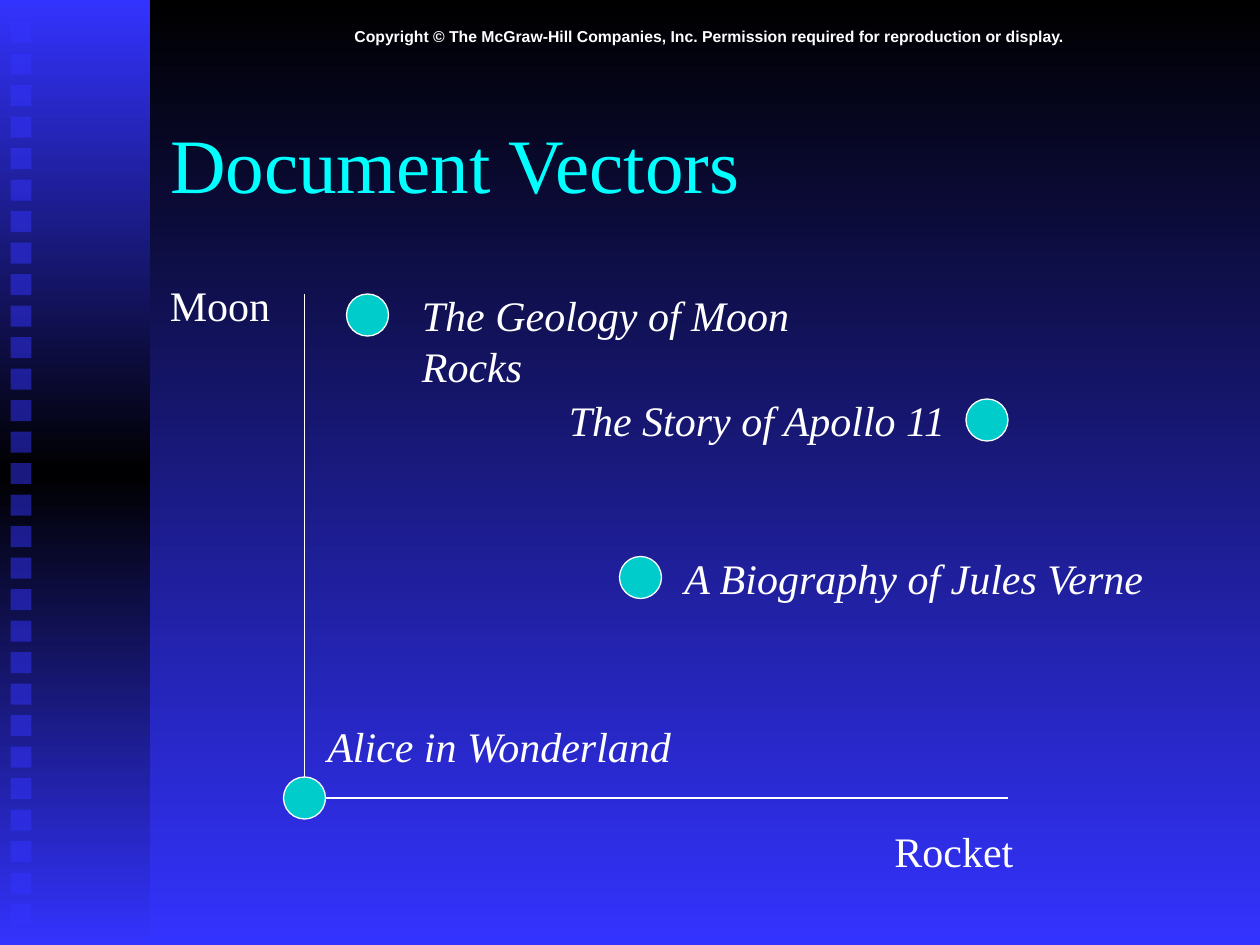
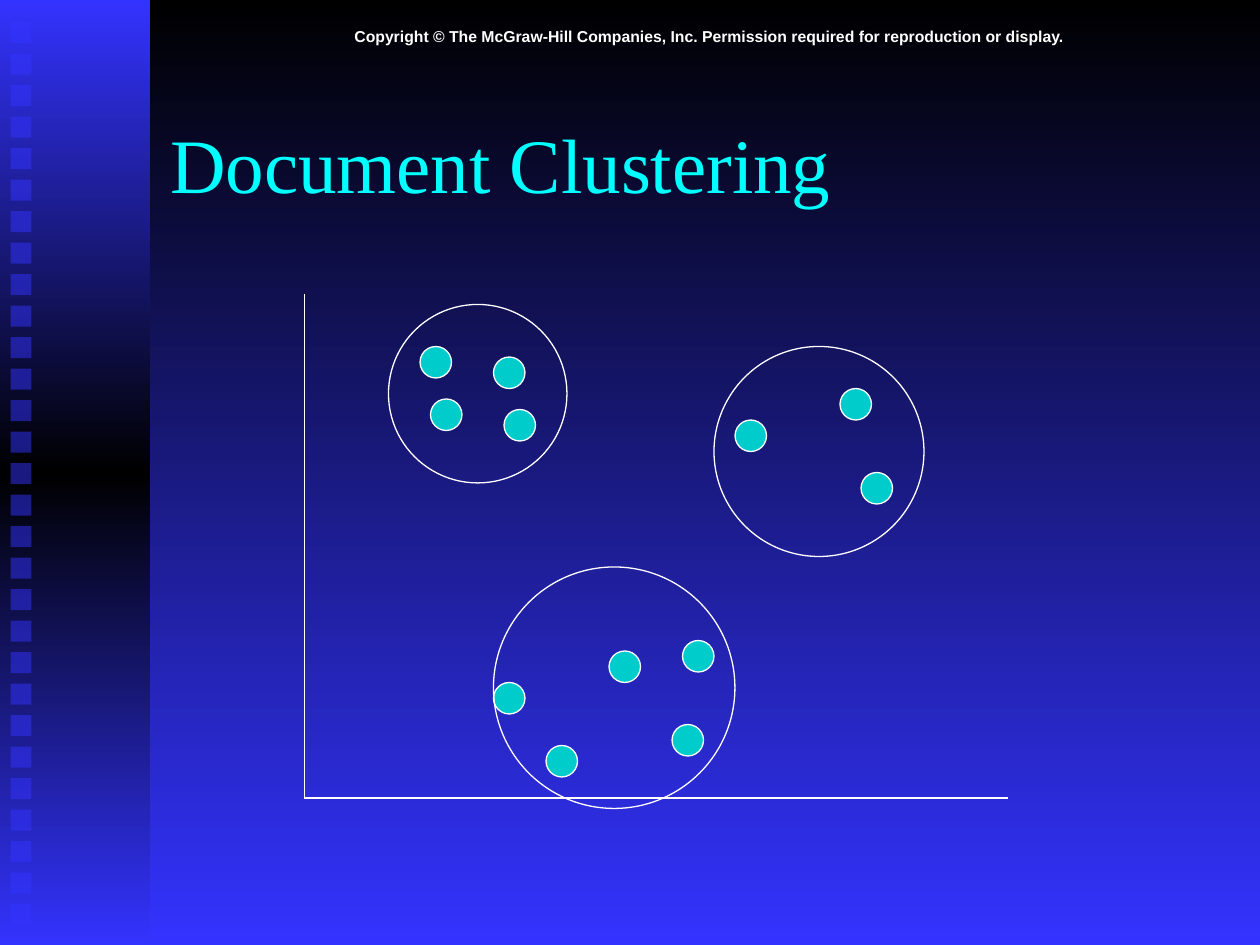
from copy import deepcopy

from lxml.etree import SubElement
from pptx import Presentation
from pptx.dml.color import RGBColor
from pptx.enum.shapes import MSO_CONNECTOR, MSO_SHAPE
from pptx.enum.text import MSO_ANCHOR, MSO_AUTO_SIZE, PP_ALIGN
from pptx.oxml.ns import qn
from pptx.util import Inches, Pt

BLACK = RGBColor(0x00, 0x00, 0x00)
BLUE = RGBColor(0x33, 0x33, 0xFF)
CYAN = RGBColor(0x00, 0xFF, 0xFF)
TEAL = RGBColor(0x00, 0xCC, 0xCC)
WHITE = RGBColor(0xFF, 0xFF, 0xFF)

SERIF = "Times New Roman"
SANS = "Arial"

COLUMNS, ROWS = 120, 90
CELL = Inches(10) / COLUMNS
LINE_WIDTH = Pt(0.75)
LABEL_HEIGHT = 6

COPYRIGHT = ("Copyright © The McGraw-Hill Companies, Inc. "
             "Permission required for reproduction or display.")
COPYRIGHT_AREA = (15, 2, 105, 3)
TITLE_AREA = (15, 8, 102, 15)
BAND_AREA = (0, 0, 14.3, ROWS)
SQUARE_COUNT, SQUARE_LEFT, SQUARE_TOP, SQUARE_SIZE, SQUARE_STEP = 29, 1, 2.1, 2, 3
ORIGIN, AXIS_TOP, AXIS_RIGHT = (29, 76), 28, 96

VECTORS = {
    "title": "Document Vectors",
    "axis_names": [("Moon", 15, 26, 12), ("Rocket", 84, 78, 16)],
    "document_names": [
        ("Alice in Wonderland", 30, 68, 35.5),
        ("A Biography of Jules Verne", 64, 52, 46.6),
        ("The Geology of Moon Rocks", 39, 27, 47.9),
        ("The Story of Apollo 11", 53, 37, 38.6),
    ],
    "dot_size": 4,
    "dots": [(27, 74), (33, 28), (59, 53), (92, 38)],
    "clusters": [],
}
CLUSTERING = {
    "title": "Document Clustering",
    "axis_names": [],
    "document_names": [],
    "dot_size": 3,
    "dots": [
        (41, 38), (48, 39), (40, 33), (47, 34),
        (47, 65), (58, 62), (65, 61), (52, 71), (64, 69),
        (82, 45), (70, 40), (80, 37),
    ],
    "clusters": [(37, 29, 17), (68, 33, 20), (47, 54, 23)],
}


def cells(*counts):
    return [round(count * CELL) for count in counts]


def paint_gradient(fill, colours):
    fill.gradient()
    fill.gradient_angle = 270
    stops = fill.gradient_stops
    if len(colours) == 3:
        first = stops[0]._gs
        first.addnext(deepcopy(first))
        stops = fill.gradient_stops
    for index, (stop, colour) in enumerate(zip(stops, colours)):
        stop.position = index / (len(colours) - 1)
        stop.color.rgb = colour


def add_figure(shapes, preset, area):
    figure = shapes.add_shape(preset, *cells(*area))
    figure.shadow.inherit = False
    return figure


def add_circle(page, left, top, size, colour=None):
    circle = add_figure(page.shapes, MSO_SHAPE.OVAL, (left, top, size, size))
    if colour is None:
        circle.fill.background()
    else:
        circle.fill.solid()
        circle.fill.fore_color.rgb = colour
    circle.line.color.rgb = WHITE
    circle.line.width = LINE_WIDTH


def add_axis(page, start, end):
    axis = page.shapes.add_connector(MSO_CONNECTOR.STRAIGHT, *cells(*start, *end))
    axis.line.color.rgb = WHITE
    axis.line.width = LINE_WIDTH
    SubElement(axis._element.spPr, qn("a:effectLst"))


def write(frame, text, size, colour=WHITE, name=SERIF, bold=False, italic=False,
          alignment=PP_ALIGN.LEFT):
    para = frame.paragraphs[0]
    para.alignment = alignment
    span = para.add_run()
    span.text = text
    font = span.font
    font.name, font.size, font.bold, font.italic = name, Pt(size), bold, italic
    font.color.rgb = colour


def add_text(page, text, area, size=24, wrap=True, **style):
    box = page.shapes.add_textbox(*cells(*area))
    frame = box.text_frame
    frame.word_wrap = wrap
    frame.auto_size = MSO_AUTO_SIZE.SHAPE_TO_FIT_TEXT
    write(frame, text, size, **style)


def add_band(page):
    group = page.shapes.add_group_shape()
    band = add_figure(group.shapes, MSO_SHAPE.RECTANGLE, BAND_AREA)
    paint_gradient(band.fill, [BLUE, BLACK, BLUE])
    band.line.fill.background()
    for index in range(SQUARE_COUNT):
        top = SQUARE_TOP + index * SQUARE_STEP
        square = add_figure(group.shapes, MSO_SHAPE.RECTANGLE,
                            (SQUARE_LEFT, top, SQUARE_SIZE, SQUARE_SIZE))
        square.fill.solid()
        square.fill.fore_color.rgb = BLUE
        colour = square._element.spPr.find(".//" + qn("a:srgbClr"))
        SubElement(colour, qn("a:alpha"), val="50000")
        square.line.fill.background()


def set_title(page, text):
    title = page.shapes.title
    title.left, title.top, title.width, title.height = cells(*TITLE_AREA)
    title.text_frame.vertical_anchor = MSO_ANCHOR.MIDDLE
    write(title.text_frame, text, 44, colour=CYAN)


def add_page(deck, content):
    page = deck.slides.add_slide(deck.slide_layouts[5])
    add_band(page)
    add_text(page, COPYRIGHT, COPYRIGHT_AREA, size=9, name=SANS, bold=True,
             alignment=PP_ALIGN.CENTER)
    set_title(page, content["title"])
    add_axis(page, (ORIGIN[0], AXIS_TOP), ORIGIN)
    add_axis(page, ORIGIN, (AXIS_RIGHT, ORIGIN[1]))
    for name, left, top, width in content["axis_names"]:
        add_text(page, name, (left, top, width, LABEL_HEIGHT))
    for left, top in content["dots"]:
        add_circle(page, left, top, content["dot_size"], TEAL)
    for name, left, top, width in content["document_names"]:
        add_text(page, name, (left, top, width, LABEL_HEIGHT), wrap=False, italic=True)
    for left, top, size in content["clusters"]:
        add_circle(page, left, top, size)


def main():
    deck = Presentation()
    deck.slide_width, deck.slide_height = cells(COLUMNS, ROWS)
    paint_gradient(deck.slide_master.background.fill, [BLACK, BLUE])
    for content in (VECTORS, CLUSTERING):
        add_page(deck, content)
    deck.save("out.pptx")


if __name__ == "__main__":
    main()
